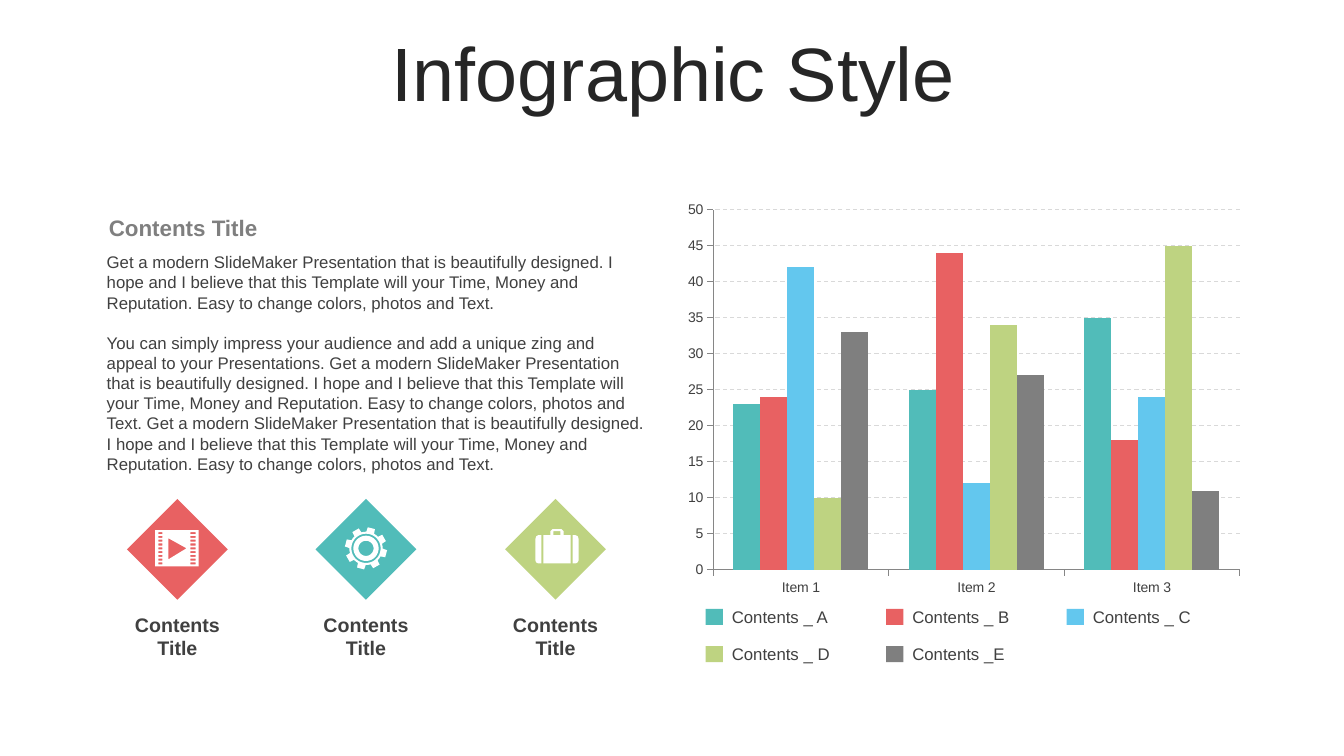
"""Build an infographic slide with a text block, three badges and a bar chart."""
import math
from dataclasses import dataclass

import pptx
import pptx.chart.data
import pptx.dml.color
import pptx.enum.chart
import pptx.enum.dml
import pptx.enum.shapes
import pptx.enum.text
import pptx.shapes.autoshape
import pptx.slide
import pptx.text.text
import pptx.util

Inches = pptx.util.Inches
Pt = pptx.util.Pt
Align = pptx.enum.text.PP_ALIGN
Anchor = pptx.enum.text.MSO_ANCHOR
Form = pptx.enum.shapes.MSO_SHAPE
Loop = list[tuple[float, float]]

FONT = "Arial"
DARK, GREY, WHITE = "404040", "7F7F7F", "FFFFFF"
TEAL, RED, BLUE, GREEN = "51BCB9", "E86162", "63C7EE", "BED381"

PITCH = "Get a modern SlideMaker Presentation that is beautifully designed. " \
    "I hope and I believe that this Template will your Time, Money and " \
    "Reputation. Easy to change colors, photos and Text."
BOAST = "You can simply impress your audience and add a unique zing and " \
    f"appeal to your Presentations. {PITCH} {PITCH}"


@dataclass
class Badge:
    left: float
    color: str
    icon: list[Loop]


@dataclass
class Series:
    label: str
    color: str
    values: tuple[int, ...]


SERIES = [
    Series("Contents _ A", TEAL, (23, 25, 35)),
    Series("Contents _ B", RED, (24, 44, 18)),
    Series("Contents _ C", BLUE, (42, 12, 24)),
    Series("Contents _ D", GREEN, (10, 34, 45)),
    Series("Contents _E", GREY, (33, 27, 11)),
]


def rgb(code: str) -> pptx.dml.color.RGBColor:
    return pptx.dml.color.RGBColor.from_string(code)


def style(font: pptx.text.text.Font, size: float, color: str, bold: bool = False) -> None:
    font.name = FONT
    font.size = Pt(size)
    font.bold = bold
    font.color.rgb = rgb(color)


def paint(shape: pptx.shapes.autoshape.Shape, color: str) -> None:
    shape.shadow.inherit = False
    shape.fill.solid()
    shape.fill.fore_color.rgb = rgb(color)
    shape.line.fill.background()


def write(slide: pptx.slide.Slide, text: str, *, left: float, top: float, width: float,
          height: float, size: float = 12, color: str = DARK, bold: bool = False,
          align: Align = Align.LEFT, anchor: Anchor = Anchor.TOP,
          inset: float = 0.1, lead: float | None = None) -> None:
    box = slide.shapes.add_textbox(Inches(left), Inches(top), Inches(width), Inches(height))
    frame = box.text_frame
    frame.word_wrap = True
    frame.vertical_anchor = anchor
    frame.margin_left = frame.margin_right = Inches(inset)
    frame.text = text
    for index, para in enumerate(frame.paragraphs):
        para.alignment = align
        para.line_spacing = lead or Pt(size * 1.2)
        if index:
            para.space_before = Pt(size * 1.2)
        style(para.font, size, color, bold)


def block(slide: pptx.slide.Slide, form: Form, left: float, top: float,
          width: float, height: float, color: str) -> None:
    shape = slide.shapes.add_shape(form, Inches(left), Inches(top),
                                   Inches(width), Inches(height))
    paint(shape, color)


def rect(left: float, top: float, right: float, base: float) -> Loop:
    return [(left, top), (right, top), (right, base), (left, base)]


def ring(x: float, y: float, size: float, turns: list[float]) -> Loop:
    return [(x + size * math.sin(math.radians(turn)), y - size * math.cos(math.radians(turn)))
            for turn in turns]


def film() -> list[Loop]:
    holes = [rect(left, 5.28 + 0.0375 * row, right, 5.3 + 0.0375 * row)
             for row in range(9) for left, right in ((1.57, 1.61), (1.89, 1.94))]
    return [rect(1.54, 5.26, 1.97, 5.62), [(1.67, 5.34), (1.67, 5.55), (1.85, 5.44)], *holes]


def gear() -> list[Loop]:
    x, y = 3.63, 5.44
    edge: Loop = []
    for tooth in range(8):
        mid = 15 + 45 * tooth
        edge += ring(x, y, 0.165, [mid - 14])
        edge += ring(x, y, 0.21, [mid - 10, mid + 10])
        edge += ring(x, y, 0.165, [mid + 14, mid + 22.5])
    return [edge] + [ring(x, y, size, list(range(0, 360, 6))) for size in (0.145, 0.125, 0.075)]


def case() -> list[Loop]:
    side = [(5.37, 5.31), (5.34, 5.31), (5.32, 5.32), (5.31, 5.35),
            (5.31, 5.56), (5.32, 5.58), (5.34, 5.59), (5.37, 5.59)]
    half = [(5.39, 5.59), (5.39, 5.31), (5.46, 5.31), (5.46, 5.27), (5.48, 5.25)]

    def flip(loop: Loop) -> Loop:
        return [(11.05 - x, y) for x, y in reversed(loop)]

    return [side, flip(side), half + flip(half), rect(5.49, 5.27, 5.56, 5.31)]


def trace(slide: pptx.slide.Slide, loops: list[Loop]) -> None:
    first, *rest = [[(Inches(x), Inches(y)) for x, y in loop] for loop in loops]
    pen = slide.shapes.build_freeform(*first[0])
    pen.add_line_segments(first[1:])
    for loop in rest:
        pen.move_to(*loop[0])
        pen.add_line_segments(loop[1:])
    paint(pen.convert_to_shape(), WHITE)


def plot(slide: pptx.slide.Slide) -> None:
    kinds = pptx.enum.chart
    data = pptx.chart.data.CategoryChartData()
    data.categories = ["Item 1", "Item 2", "Item 3"]
    for count, item in enumerate(SERIES, 1):
        data.add_series(f"Series {count}", item.values)
    chart = slide.shapes.add_chart(kinds.XL_CHART_TYPE.COLUMN_CLUSTERED, Inches(6.71),
                                   Inches(1.92), Inches(5.7), Inches(4.07), data).chart
    chart.has_legend = chart.has_title = False
    style(chart.font, 18, "000000")
    bars = chart.plots[0]
    bars.gap_width, bars.overlap, bars.vary_by_categories = 150, 0, False
    for bar, item in zip(bars.series, SERIES):
        bar.format.fill.solid()
        bar.format.fill.fore_color.rgb = rgb(item.color)
    for axis in (chart.category_axis, chart.value_axis):
        axis.major_tick_mark = kinds.XL_TICK_MARK.OUTSIDE
        axis.format.line.color.rgb = rgb("868686")
        style(axis.tick_labels.font, 10, DARK)
    scale = chart.value_axis
    scale.minimum_scale, scale.maximum_scale, scale.major_unit = 0, 50, 5
    grid = scale.major_gridlines.format.line
    grid.color.rgb = rgb("D9D9D9")
    grid.width = Pt(0.75)
    grid.dash_style = pptx.enum.dml.MSO_LINE.DASH


def main() -> None:
    deck = pptx.Presentation()
    deck.slide_width, deck.slide_height = Inches(13.33), Inches(7.5)
    slide = deck.slides.add_slide(deck.slide_layouts[6])
    write(slide, "Infographic Style", left=0.35, top=0.37, width=12.66, height=0.79,
          size=54, color="262626", align=Align.CENTER, anchor=Anchor.MIDDLE, lead=0.9)
    write(slide, "Contents Title", left=0.96, top=2.08, width=5.55, height=0.37,
          size=16, color=GREY, bold=True, inset=0.12)
    write(slide, f"{PITCH}\n{BOAST}", left=0.96, top=2.45, width=5.55, height=2.32)
    for badge in (Badge(1.26, RED, film()), Badge(3.13, TEAL, gear()),
                  Badge(5.01, GREEN, case())):
        block(slide, Form.DIAMOND, badge.left, 4.95, 1, 1, badge.color)
        trace(slide, badge.icon)
        write(slide, "Contents Title", left=badge.left - 0.21, top=6.03, width=1.42,
              height=0.57, size=14, bold=True, align=Align.CENTER, inset=0.12)
    plot(slide)
    for index, item in enumerate(SERIES):
        row, col = divmod(index, 3)
        left, top = 7 + 1.79 * col, 6.04 + 0.37 * row
        block(slide, Form.RECTANGLE, left, top, 0.17, 0.16, item.color)
        write(slide, item.label, left=left + 0.16, top=top - 0.07, width=1.36, height=0.3,
              anchor=Anchor.MIDDLE)
    deck.save("out.pptx")


if __name__ == "__main__":
    main()
